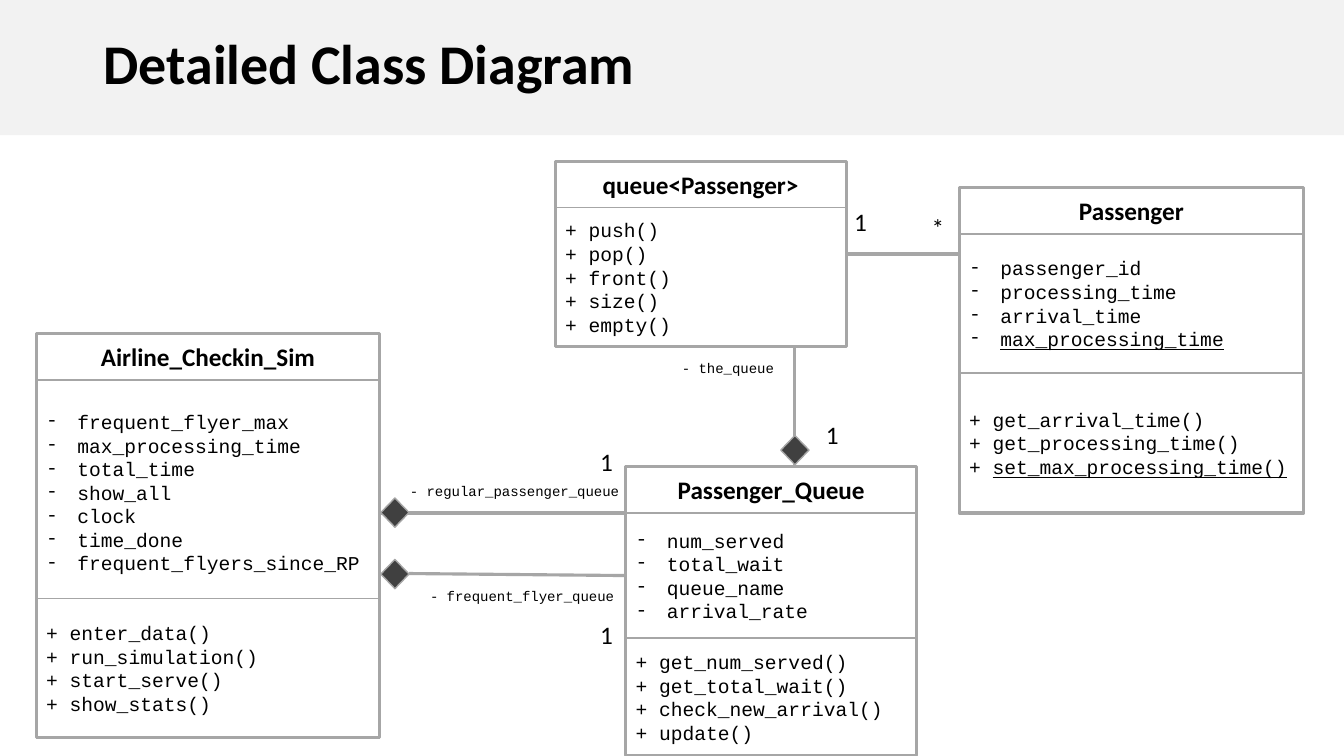
from dataclasses import dataclass
from typing import Any

from lxml import etree
from pptx import Presentation
from pptx.dml.color import RGBColor
from pptx.enum.shapes import MSO_CONNECTOR, MSO_SHAPE
from pptx.enum.text import MSO_ANCHOR, MSO_AUTO_SIZE, PP_ALIGN
from pptx.oxml.ns import qn
from pptx.util import Inches, Pt

RECT, DIAMOND = MSO_SHAPE.RECTANGLE, MSO_SHAPE.DIAMOND
STRAIGHT = MSO_CONNECTOR.STRAIGHT
LEFT, CENTER = PP_ALIGN.LEFT, PP_ALIGN.CENTER
TOP, MIDDLE, BOTTOM = MSO_ANCHOR.TOP, MSO_ANCHOR.MIDDLE, MSO_ANCHOR.BOTTOM
FIXED, GROW = MSO_AUTO_SIZE.NONE, MSO_AUTO_SIZE.SHAPE_TO_FIT_TEXT
SANS, MONO = "Calibri", "Courier New"
COLORS = {"band": "F2F2F2", "text": "000000", "line": "A6A6A6",
          "box": "FFFFFF", "gem": "404040"}
HEAD = 0.46
INDENT = 0.31


@dataclass
class Model:
    name: str
    left: float
    top: float
    width: float
    height: float
    ops_top: float
    ops: list[str]
    data_high: float = 0
    data: tuple[str, ...] = ()


@dataclass
class Label:
    text: str
    left: float
    top: float
    width: float
    height: float = 0.4
    size: float = 18
    font: str = SANS
    wrap: bool = True


@dataclass
class Link:
    start: tuple[float, float]
    end: tuple[float, float]


PERSON = Model(
    "Passenger", 9.52, 1.86, 3.42, 3.23, 3.7,
    ["get_arrival_time()", "get_processing_time()", "|set_max_processing_time()"],
    1.38, ("passenger_id", "processing_time", "arrival_time", "|max_processing_time"))
QUEUE = Model(
    "queue<Passenger>", 5.51, 1.6, 2.89, 1.84, 2.06,
    ["push()", "pop()", "front()", "size()", "empty()"])
SIM = Model(
    "Airline_Checkin_Sim", 0.36, 3.31, 3.41, 4.01, 5.94,
    ["enter_data()", "run_simulation()", "start_serve()", "show_stats()"],
    2.23, ("frequent_flyer_max", "max_processing_time", "total_time", "show_all",
           "clock", "time_done", "frequent_flyers_since_RP"))
LANE = Model(
    "Passenger_Queue", 6.21, 4.63, 2.89, 2.87, 6.33,
    ["get_num_served()", "get_total_wait()", "check_new_arrival()", "update()"],
    1.24, ("num_served", "total_wait", "queue_name", "arrival_rate"))

LINKS = [Link((9.52, 2.52), (8.4, 2.52)), Link((6.21, 5.09), (3.78, 5.09)),
         Link((6.21, 5.72), (4.06, 5.69)), Link((7.89, 3.43), (7.89, 4.81))]
GEMS = [(3.78, 4.94), (3.78, 5.55), (7.75, 4.32)]

ROLES = [Label(text, left, top, width, 0.27, 10, MONO, False)
         for text, left, top, width in [
             ("- regular_passenger_queue", 3.97, 4.74, 2.32),
             ("- frequent_flyer_queue", 4.17, 5.78, 2.07),
             ("- the_queue", 6.67, 3.52, 1.15)]]
COUNTS = [Label(text, left, top, 0.33) for text, left, top in [
    ("*", 9.15, 2.06), ("1", 8.38, 2), ("1", 5.86, 4.38),
    ("1", 5.86, 6.09), ("1", 8.1, 4.11)]]


def color(name: str) -> RGBColor:
    return RGBColor.from_string(COLORS[name])


def add_dash(para: Any) -> None:
    props = para._p.get_or_add_pPr()
    props.set("marL", str(Inches(INDENT)))
    props.set("indent", str(-Inches(INDENT)))
    tint = etree.SubElement(props, qn("a:buClr"))
    etree.SubElement(tint, qn("a:srgbClr"), val=COLORS["text"])
    etree.SubElement(props, qn("a:buFont"), typeface=MONO)
    etree.SubElement(props, qn("a:buChar"), char="-")


def write(shape: Any, lines: list[str], *, size: float, font: str = SANS,
          bold: bool = False, align: PP_ALIGN = LEFT, anchor: MSO_ANCHOR = MIDDLE,
          dash: bool = False, wrap: bool = True, fit: MSO_AUTO_SIZE = FIXED,
          pitch: float | None = None) -> None:
    frame = shape.text_frame
    frame.word_wrap, frame.auto_size = wrap, fit
    frame.vertical_anchor = anchor
    for num, line in enumerate(lines):
        para = frame.add_paragraph() if num else frame.paragraphs[0]
        para.alignment = align
        if pitch:
            para.line_spacing = pitch
        if dash:
            add_dash(para)
        plain, _, under = line.partition("|")
        for text, mark in ((plain, False), (under, True)):
            if text:
                run = para.add_run()
                run.text = text
                run.font.size, run.font.name = Pt(size), font
                run.font.bold = bold
                run.font.underline = mark
                run.font.color.rgb = color("text")


def add_box(shapes: Any, left: float, top: float, width: float, height: float, *,
            kind: MSO_SHAPE = RECT, fill: str | None = "box",
            weight: float = 1) -> Any:
    box = shapes.add_shape(kind, Inches(left), Inches(top), Inches(width), Inches(height))
    box.shadow.inherit = False
    if fill:
        box.fill.solid()
        box.fill.fore_color.rgb = color(fill)
    else:
        box.fill.background()
    if weight:
        box.line.color.rgb = color("line")
        box.line.width = Pt(weight)
    else:
        box.line.fill.background()
    return box


def add_model(shapes: Any, model: Model) -> tuple[Any, Any]:
    group = shapes.add_group_shape().shapes
    left, top, width = model.left, model.top, model.width
    head = add_box(group, left, top, width, HEAD)
    write(head, [model.name], size=18, bold=True, align=CENTER)
    data = None
    if model.data:
        data = add_box(group, left, top + HEAD, width, model.data_high)
        write(data, list(model.data), size=14, font=MONO, dash=True)
    ops = add_box(group, left, model.ops_top, width, top + model.height - model.ops_top)
    write(ops, [f"+ {name}" for name in model.ops], size=14, font=MONO)
    frame = add_box(group, left, top, width, model.height, fill=None, weight=2.25)
    return data, frame


def add_link(shapes: Any, link: Link) -> Any:
    ends = [Inches(num) for num in (*link.start, *link.end)]
    line = shapes.add_connector(STRAIGHT, *ends)
    line.line.color.rgb = color("line")
    line.line.width = Pt(2.25)
    etree.SubElement(line._element.spPr, qn("a:effectLst"))
    return line


def add_label(shapes: Any, label: Label) -> None:
    box = shapes.add_textbox(Inches(label.left), Inches(label.top),
                             Inches(label.width), Inches(label.height))
    write(box, [label.text], size=label.size, font=label.font,
          anchor=TOP, wrap=label.wrap, fit=GROW)


def main() -> None:
    deck = Presentation()
    deck.slide_width, deck.slide_height = Inches(13.34), Inches(7.5)
    shapes = deck.slides.add_slide(deck.slide_layouts[5]).shapes

    title = shapes.title
    title.left, title.top = Inches(0.93), Inches(0)
    title.width, title.height = Inches(10.96), Inches(1.01)
    write(title, ["Detailed Class Diagram"], size=40, bold=True,
          anchor=BOTTOM, pitch=0.9)
    band = add_box(shapes, 0, 0, 13.34, 1.34, fill="band", weight=0)
    title.element.addprevious(band.element)

    add_model(shapes, PERSON)
    _, queue = add_model(shapes, QUEUE)
    add_model(shapes, SIM)
    lines = [add_link(shapes, link) for link in LINKS]
    data, _ = add_model(shapes, LANE)
    for left, top in GEMS:
        add_box(shapes, left, top, 0.28, 0.29, kind=DIAMOND, fill="gem")
    lines[0].end_connect(queue, 3)
    lines[2].begin_connect(data, 1)

    for label in ROLES + COUNTS:
        add_label(shapes, label)
    deck.save("out.pptx")


if __name__ == "__main__":
    main()
